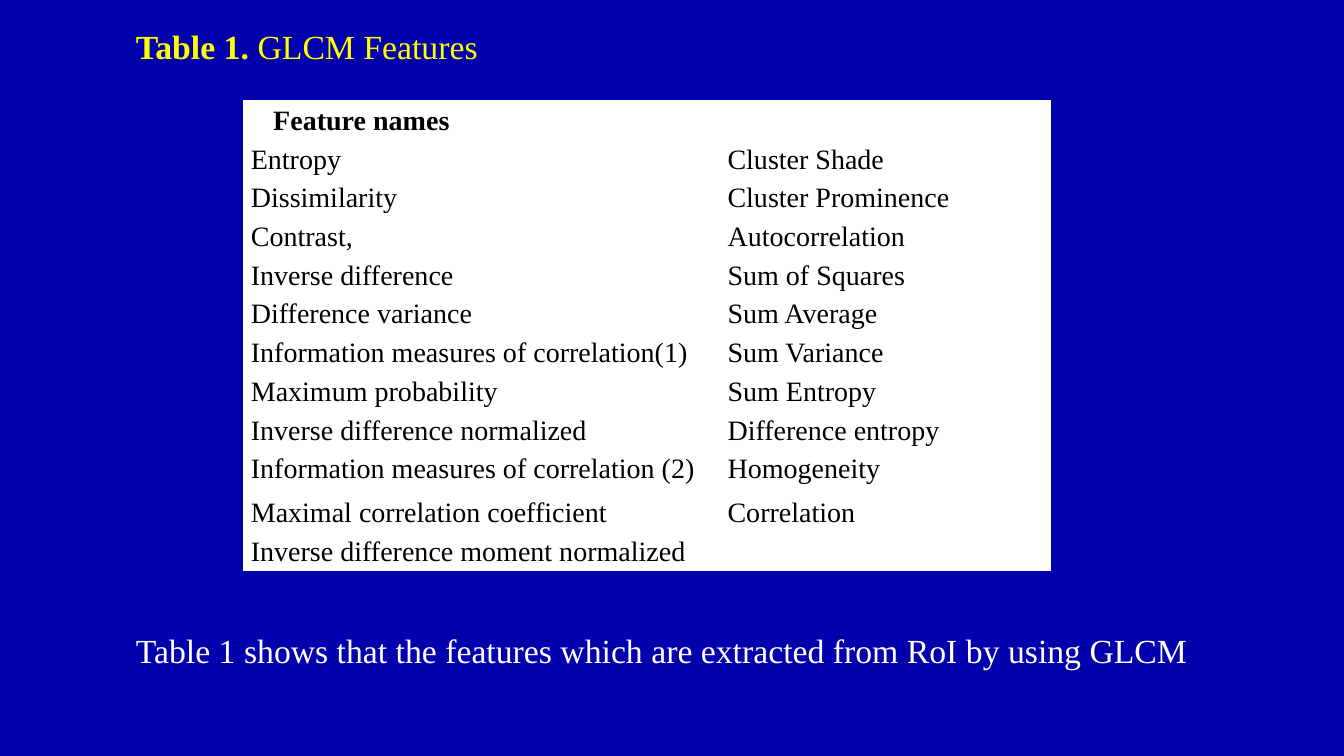
from pptx import Presentation
from pptx.dml.color import RGBColor
from pptx.enum import text
from pptx.util import Pt

FONT = "Times New Roman"
FEATURES = [
    ("Feature names", ""),
    ("Entropy", "Cluster Shade"),
    ("Dissimilarity", "Cluster Prominence"),
    ("Contrast,", "Autocorrelation"),
    ("Inverse difference", "Sum of Squares"),
    ("Difference variance", "Sum Average"),
    ("Information measures of correlation(1)", "Sum Variance"),
    ("Maximum probability", "Sum Entropy"),
    ("Inverse difference normalized", "Difference entropy"),
    ("Information measures of correlation (2)", "Homogeneity"),
    ("Maximal correlation coefficient", "Correlation"),
    ("Inverse difference moment normalized", ""),
]
ROW_HEIGHT, TALL_ROW, TALL_HEIGHT = 27.6, 9, 31.4


def style(para, size, color, spacing):
    para.alignment = text.PP_ALIGN.JUSTIFY
    para.line_spacing = spacing
    para.font.name = FONT
    para.font.size = Pt(size)
    para.font.color.rgb = RGBColor.from_string(color)


deck = Presentation()
deck.slide_width, deck.slide_height = Pt(960), Pt(540)
page = deck.slides.add_slide(deck.slide_layouts[6])
page.background.fill.solid()
page.background.fill.fore_color.rgb = RGBColor.from_string("0200AC")

# Heading above the table and remark below it
lines = [
    (18, "FFFF00", [("Table 1. ", True), ("GLCM Features", False)]),
    (449.4, "FFFFFF", [("Table 1 shows that the features which are extracted "
                        "from RoI by using GLCM", False)]),
]
for top, color, spans in lines:
    box = page.shapes.add_textbox(Pt(90), Pt(top), Pt(772), Pt(36))
    box.text_frame.word_wrap = True
    para = box.text_frame.paragraphs[0]
    style(para, 24.1, color, 0.9)
    for words, bold in spans:
        span = para.add_run()
        span.text = words
        span.font.bold = bold

# Feature table
height = ROW_HEIGHT * (len(FEATURES) - 1) + TALL_HEIGHT
table = page.shapes.add_table(len(FEATURES), 2, Pt(174.2), Pt(72),
                              Pt(576), Pt(height)).table
table.first_row = table.horz_banding = False
table.columns[0].width, table.columns[1].width = Pt(340.5), Pt(235.5)
for row, names in enumerate(FEATURES):
    table.rows[row].height = Pt(TALL_HEIGHT if row == TALL_ROW else ROW_HEIGHT)
    for column, name in enumerate(names):
        cell = table.cell(row, column)
        cell.fill.solid()
        cell.fill.fore_color.rgb = RGBColor.from_string("FFFFFF")
        cell.margin_left = Pt(21 if row == 0 else 5)
        cell.margin_right = Pt(5)
        cell.margin_top = cell.margin_bottom = 0
        cell.text = name
        para = cell.text_frame.paragraphs[0]
        style(para, 20, "000000", 1.15)
        para.font.bold = row == 0

deck.save("out.pptx")
